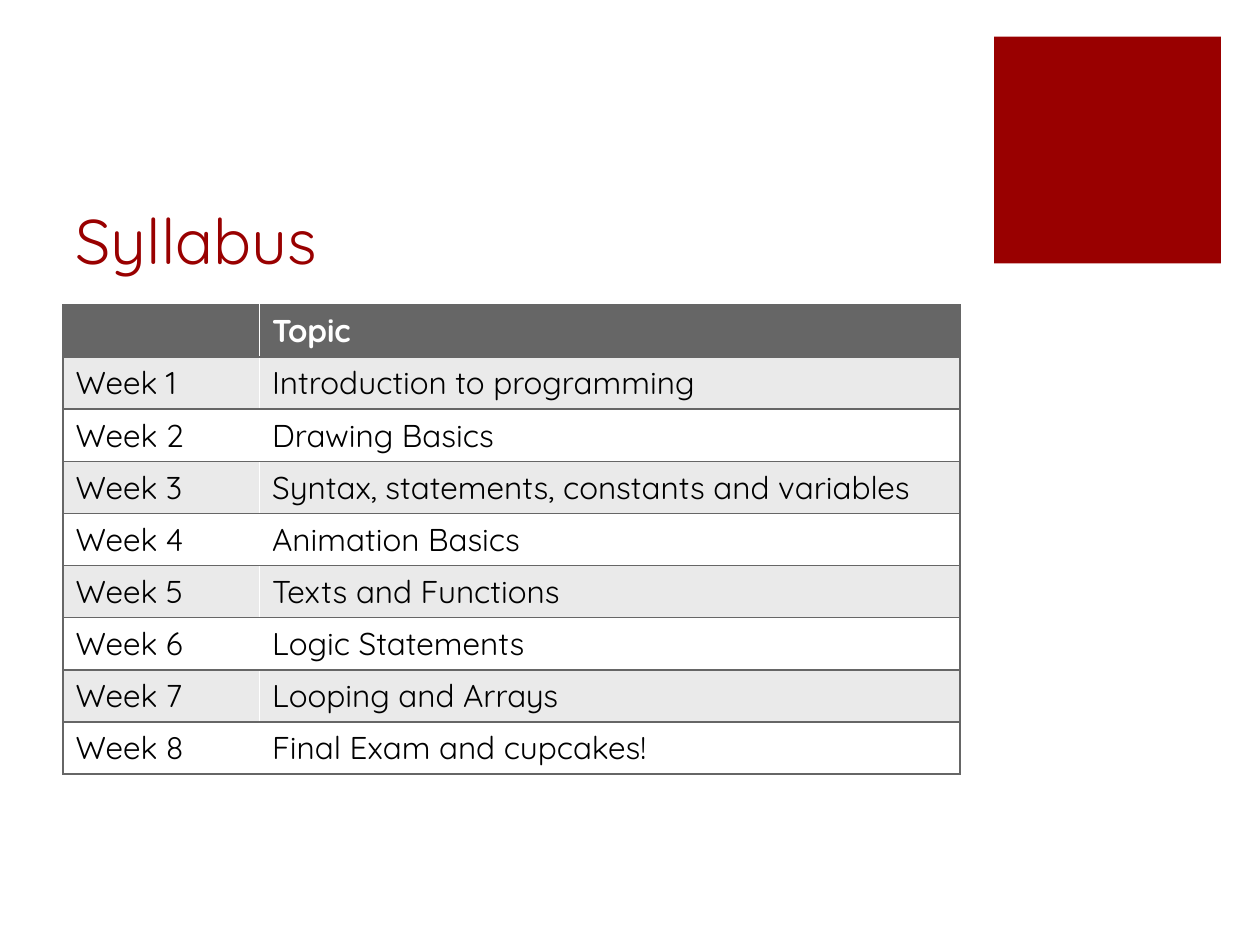
import pptx
import pptx.util
import pptx.dml.color
import pptx.enum.shapes
import pptx.enum.text
import lxml.etree

inch = pptx.util.Inches
pt = pptx.util.Pt


def tint(code):
    return pptx.dml.color.RGBColor.from_string(code)


def edge(cell, side):
    xml = (
        '<a:ln{0} xmlns:a="http://schemas.openxmlformats.org/drawingml/2006/main" w="{1}">'
        '<a:solidFill><a:srgbClr val="666666"/></a:solidFill></a:ln{0}>'
    ).format(side, pt(1))
    cell._tc.get_or_add_tcPr().append(lxml.etree.fromstring(xml))


font = "Quicksand"
red = "990000"
topics = [
    "Introduction to programming",
    "Drawing Basics",
    "Syntax, statements, constants and variables",
    "Animation Basics",
    "Texts and Functions",
    "Logic Statements",
    "Looping and Arrays",
    "Final Exam and cupcakes!",
]
rows = [("", "Topic")]
rows += [(f"Week {n}", topic) for n, topic in enumerate(topics, 1)]
widths = [1.56, 5.56]
left = inch(0.5)
span = inch(sum(widths))

deck = pptx.Presentation()
deck.slide_width = inch(10)
deck.slide_height = inch(7.5)
slide = deck.slides.add_slide(deck.slide_layouts[5])

square = slide.shapes.add_shape(
    pptx.enum.shapes.MSO_SHAPE.RECTANGLE, inch(7.89), inch(0.29), inch(1.8), inch(1.8)
)
square.shadow.inherit = False
square.fill.solid()
square.fill.fore_color.rgb = tint(red)
square.line.fill.background()

title = slide.shapes.title
title.left, title.top, title.width, title.height = left, inch(1), span, inch(1.25)
frame = title.text_frame
frame.text = "Syllabus"
frame.auto_size = pptx.enum.text.MSO_AUTO_SIZE.NONE
frame.vertical_anchor = pptx.enum.text.MSO_ANCHOR.BOTTOM
head = frame.paragraphs[0]
head.alignment = pptx.enum.text.PP_ALIGN.LEFT
head.font.name = font
head.font.size = pt(36)
head.font.color.rgb = tint(red)

table = slide.shapes.add_table(
    len(rows), len(widths), left, inch(2.42), span, inch(3.65)
).table
for column, width in zip(table.columns, widths):
    column.width = inch(width)

for r, row in enumerate(rows):
    fill = "666666" if r == 0 else ("FFFFFF", "EAEAEA")[r % 2]
    for c, text in enumerate(row):
        cell = table.cell(r, c)
        for side in ("LTB", "RTB")[c]:
            edge(cell, side)
        cell.fill.solid()
        cell.fill.fore_color.rgb = tint(fill)
        cell.text = text
        line = cell.text_frame.paragraphs[0]
        line.font.name = font
        line.font.size = pt(18)
        line.font.bold = r == 0
        line.font.color.rgb = tint("FFFFFF" if r == 0 else "000000")

deck.save("out.pptx")
